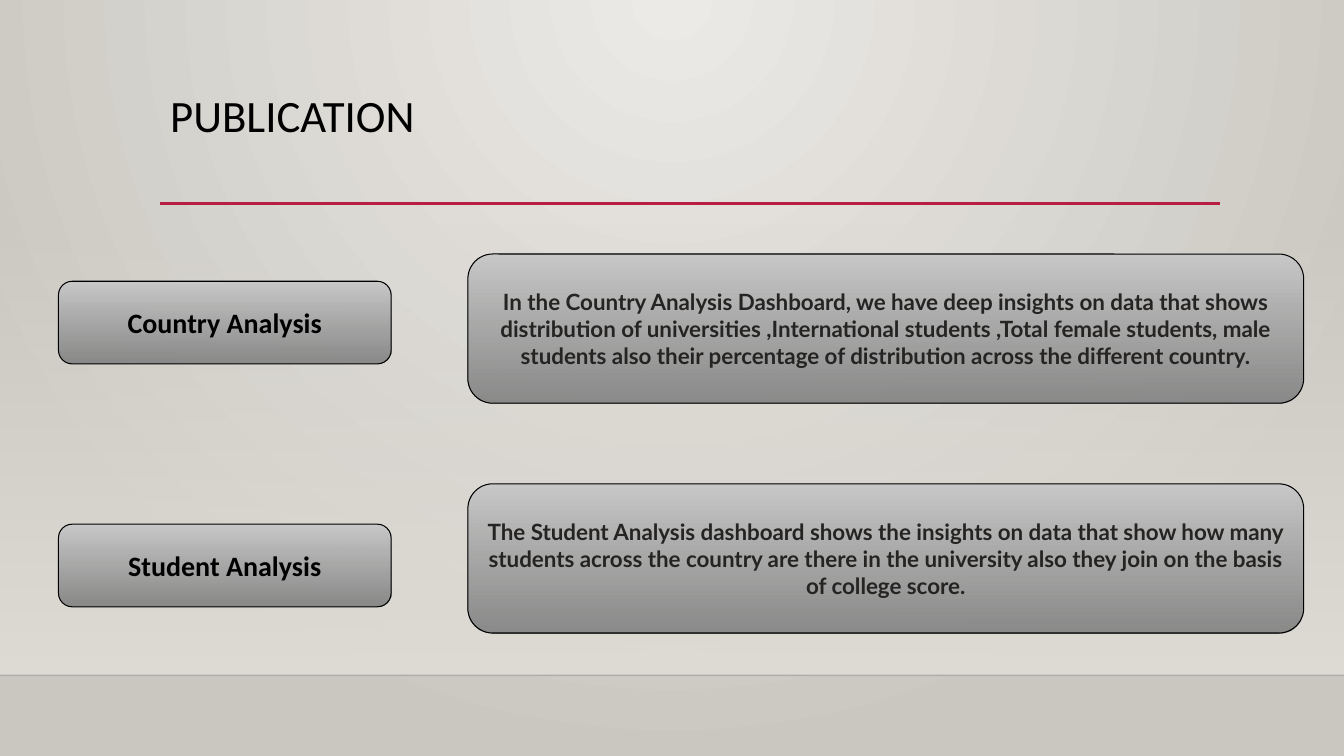
from lxml import etree
from pptx import Presentation
from pptx import util as u
from pptx.dml.color import RGBColor
from pptx.enum import shapes, text
from pptx.oxml.ns import qn

TITLE = "PUBLICATION"
ROWS = [
    ("Country Analysis",
     "In the Country Analysis Dashboard, we have deep insights on data that shows "
     "distribution of universities ,International students ,Total female students, male "
     "students also their percentage of distribution across the different country."),
    ("Student Analysis",
     "The Student Analysis dashboard shows the insights on data that show how many "
     "students across the country are there in the university also they join on the "
     "basis of college score."),
]
WIDTH, HEIGHT = 13.33, 7.5
FLOOR_TOP = 6.7
LABEL = dict(left=0.58, top=2.79, width=3.3, height=0.82, pitch=2.41)
DETAIL = dict(left=4.64, top=2.52, width=8.29, height=1.48, pitch=2.28)
LABEL_FONT = dict(size=20, font="Calibri", color="000000", bold=True)
DETAIL_FONT = dict(size=16, font="Lato", color="252423", bold=True)


def rgb(value):
    """Turn a hex string into a colour."""
    return RGBColor.from_string(value)


def set_alpha(color_element, percent):
    """Make a colour element partly transparent."""
    etree.SubElement(color_element, qn("a:alpha")).set("val", str(percent * 1000))


def set_gradient(fill, owner, colors, opacities=(100, 100)):
    """Apply a top-to-bottom gradient of two colours."""
    fill.gradient()
    fill.gradient_angle = 270
    for stop, color, position in zip(fill.gradient_stops, colors, (0, 1)):
        stop.color.rgb = rgb(color)
        stop.position = position
    for element, opacity in zip(list(owner.iter(qn("a:srgbClr"))), opacities):
        if opacity < 100:
            set_alpha(element, opacity)


def set_background(slide):
    """Fill the slide with a glow that spreads from the top centre."""
    set_gradient(slide.background.fill, slide._element, ("ECEAE7", "CAC7C1"))
    linear = next(slide._element.iter(qn("a:lin")))
    glow = etree.Element(qn("a:path"))
    glow.set("path", "circle")
    target = etree.SubElement(glow, qn("a:fillToRect"))
    for side, share in dict(l=43, t=0, r=43, b=100).items():
        target.set(side, str(share * 1000))
    linear.getparent().replace(linear, glow)


def add_shape(slide, kind, box, colors, opacities):
    """Add a gradient shape without a shadow."""
    shape = slide.shapes.add_shape(kind, *map(u.Inches, box))
    shape.shadow.inherit = False
    set_gradient(shape.fill, shape._element.spPr, colors, opacities)
    return shape


def add_rule(slide, left, right, top, color, width, opacity=100):
    """Add a horizontal line."""
    rule = slide.shapes.add_connector(
        shapes.MSO_CONNECTOR.STRAIGHT, *map(u.Inches, (left, top, right, top)))
    rule.line.color.rgb = rgb(color)
    rule.line.width = u.Pt(width)
    if opacity < 100:
        set_alpha(next(rule._element.spPr.iter(qn("a:srgbClr"))), opacity)
    etree.SubElement(rule._element.spPr, qn("a:effectLst"))


def write(shape, content, size, font, color, bold=False, align=text.PP_ALIGN.CENTER,
          anchor=text.MSO_ANCHOR.MIDDLE, spacing=1.0):
    """Write one formatted paragraph in a shape."""
    frame = shape.text_frame
    frame.word_wrap = True
    frame.vertical_anchor = anchor
    paragraph = frame.paragraphs[0]
    paragraph.alignment = align
    paragraph.line_spacing = spacing
    run = paragraph.add_run()
    run.text = content
    run.font.size = u.Pt(size)
    run.font.name = font
    run.font.bold = bold
    run.font.color.rgb = rgb(color)


def add_card(slide, row, content, column, style):
    """Add a rounded card in a column at the given row."""
    box = (column["left"], column["top"] + row * column["pitch"],
           column["width"], column["height"])
    card = add_shape(slide, shapes.MSO_SHAPE.ROUNDED_RECTANGLE, box,
                     ("C8C8C8", "848484"), (100, 92))
    card.line.color.rgb = rgb("000000")
    card.line.width = u.Pt(0.75)
    write(card, content, **style)


def main():
    """Build and save the slide."""
    presentation = Presentation()
    presentation.slide_width = u.Inches(WIDTH)
    presentation.slide_height = u.Inches(HEIGHT)
    slide = presentation.slides.add_slide(presentation.slide_layouts[6])
    set_background(slide)
    wall = add_shape(slide, shapes.MSO_SHAPE.RECTANGLE, (0, 2.21, WIDTH, FLOOR_TOP - 2.21),
                     ("DFDBD5", "DFDBD5"), (0, 100))
    wall.line.fill.background()
    add_rule(slide, 0, WIDTH, FLOOR_TOP, "000001", 1, opacity=20)
    add_rule(slide, 1.59, 12.1, 2.02, "B71E42", 2.5)
    title = slide.shapes.add_textbox(*map(u.Inches, (1.59, 0.88, 10.5, 1.15)))
    write(title, TITLE, size=32, font="Calibri", color="000000",
          align=text.PP_ALIGN.LEFT, anchor=text.MSO_ANCHOR.TOP, spacing=0.9)
    for row, (label, detail) in enumerate(ROWS):
        add_card(slide, row, label, LABEL, LABEL_FONT)
        add_card(slide, row, detail, DETAIL, DETAIL_FONT)
    presentation.save("out.pptx")


if __name__ == "__main__":
    main()
